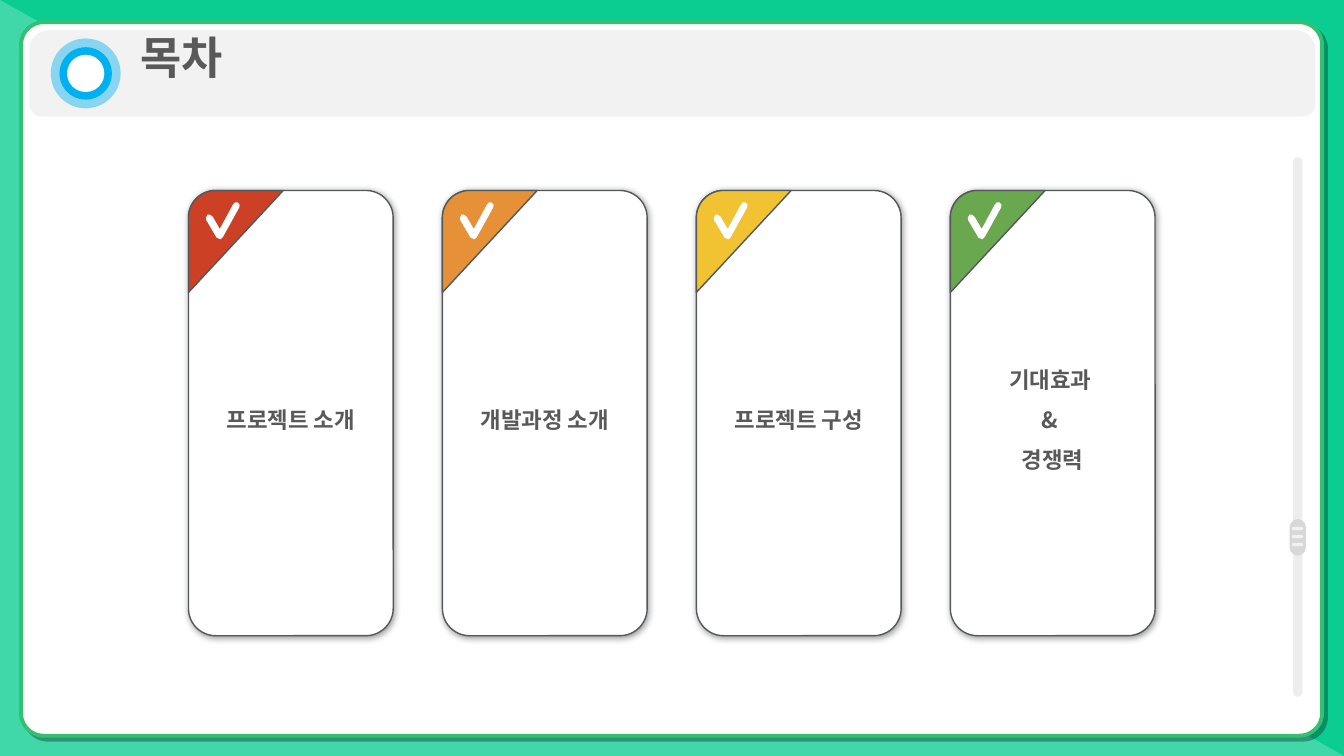
import math

import pptx
import pptx.dml.color
import pptx.enum.shapes
import pptx.enum.text
import pptx.oxml
import pptx.oxml.ns
import pptx.util
from pptx.util import Cm

SHAPES = pptx.enum.shapes.MSO_SHAPE
ALIGN = pptx.enum.text.PP_ALIGN
ANCHOR = pptx.enum.text.MSO_ANCHOR
FONT = "Noto Sans CJK KR"
COLORS = {
    "background": "0BCD91", "white": "FFFFFF", "black": "000000",
    "frame": "33C072", "panel": "F2F2F2", "thumb": "D8D8D8",
    "ring": "00B0F0", "outline": "53585B", "text": "595959",
    "red": "CC4125", "orange": "E69138", "yellow": "F1C232", "green": "6AA84F",
}
CARDS = [
    ("red", ["프로젝트 소개"]),
    ("orange", ["개발과정 소개"]),
    ("yellow", ["프로젝트 구성"]),
    ("green", ["기대효과 ", "& ", "경쟁력"]),
]
# Tick outline in cm from the top left of a card
TICK = [(0.44, 0.69), (0.48, 0.61), (0.54, 0.61), (0.61, 0.66), (0.79, 0.97),
        (1.12, 0.36), (1.17, 0.3), (1.24, 0.3), (1.29, 0.36), (1.28, 0.43),
        (0.87, 1.17), (0.81, 1.23), (0.71, 1.19), (0.45, 0.75)]


def rgb(name):
    return pptx.dml.color.RGBColor.from_string(COLORS[name])


def set_alpha(fill, percent):
    color = fill._xPr.find(".//" + pptx.oxml.ns.qn("a:srgbClr"))
    alpha = color.makeelement(pptx.oxml.ns.qn("a:alpha"), {"val": str(percent * 1000)})
    color.append(alpha)


def paint(shape, fill, line=None, width=1, alpha=None):
    shape.shadow.inherit = False
    shape.fill.solid()
    shape.fill.fore_color.rgb = rgb(fill)
    if alpha:
        set_alpha(shape.fill, alpha)
    if line:
        shape.line.color.rgb = rgb(line)
        shape.line.width = pptx.util.Pt(width)
    else:
        shape.line.fill.background()
    return shape


def add_box(slide, kind, box, fill, adjustments=(), **style):
    shape = slide.shapes.add_shape(kind, *map(Cm, box))
    for index, value in enumerate(adjustments):
        shape.adjustments[index] = value
    return paint(shape, fill, **style)


def add_outline(slide, left, top, points, fill, **style):
    corners = [(Cm(left + x), Cm(top + y)) for x, y in points]
    builder = slide.shapes.build_freeform(*corners[0], scale=1.0)
    builder.add_line_segments(corners[1:], close=True)
    return paint(builder.convert_to_shape(), fill, **style)


def add_shadow(shape, alpha, blur, distance):
    effects = shape._element.spPr.find(pptx.oxml.ns.qn("a:effectLst"))
    effects.append(pptx.oxml.parse_xml(
        f'<a:outerShdw {pptx.oxml.ns.nsdecls("a")} blurRad="{pptx.util.Pt(blur)}" '
        f'dist="{pptx.util.Pt(distance)}" dir="2700000" algn="tl" rotWithShape="0">'
        f'<a:srgbClr val="{COLORS["black"]}"><a:alpha val="{alpha * 1000}"/></a:srgbClr>'
        '</a:outerShdw>'))


def style_paragraph(paragraph, size, alignment):
    paragraph.alignment = alignment
    font = paragraph.font
    font.name, font.size, font.bold = FONT, pptx.util.Pt(size), True
    font.color.rgb = rgb("text")
    latin = paragraph._p.find(".//" + pptx.oxml.ns.qn("a:latin"))
    latin.addnext(latin.makeelement(pptx.oxml.ns.qn("a:ea"), {"typeface": FONT}))


def draw_backdrop(slide, width, height):
    slide.background.fill.solid()
    slide.background.fill.fore_color.rgb = rgb("background")
    add_box(slide, SHAPES.RIGHT_TRIANGLE, (0, 0, width, height), "white", alpha=22)
    frame = add_box(slide, SHAPES.ROUNDED_RECTANGLE, (0.53, 0.56, 32.79, 17.98), "white",
                    [0.032], line="frame", width=2.75)
    add_shadow(frame, 30, 0, 4)


def draw_scrollbar(slide, left, top, width, height):
    pill = SHAPES.ROUNDED_RECTANGLE
    add_box(slide, pill, (left + 0.09, top, 0.23, height), "black", [0.5], alpha=7)
    thumb_top = top + 9.12
    add_box(slide, pill, (left, thumb_top, width, 0.92), "thumb", [0.5])
    for grip in range(3):
        add_box(slide, pill, (left + 0.06, thumb_top + 0.2 + 0.2 * grip, 0.28, 0.08),
                "panel", [0.5])


def draw_header(slide, left, top, width, height):
    add_box(slide, SHAPES.ROUND_2_SAME_RECTANGLE, (left, top, width, height),
            "panel", [0.226, 0.145])

    # Title
    title = slide.shapes.title
    slide.shapes._spTree.append(title._element)
    title.left, title.top = Cm(left + 2.79), Cm(top)
    title.width, title.height = Cm(width - 3.05), Cm(height)
    frame = title.text_frame
    frame.text = "목차"
    frame.auto_size = pptx.enum.text.MSO_AUTO_SIZE.NONE
    frame.vertical_anchor = ANCHOR.TOP
    frame.margin_left = frame.margin_right = frame.margin_top = frame.margin_bottom = 0
    style_paragraph(frame.paragraphs[0], 32, ALIGN.LEFT)

    # Ring
    ring = add_box(slide, SHAPES.OVAL, (left + 0.76, top + 0.43, 1.32, 1.32),
                   "ring", line="ring", width=12.5)
    set_alpha(ring.line.fill, 44)
    add_box(slide, SHAPES.OVAL, (left + 0.95, top + 0.62, 0.94, 0.94), "white")


def draw_card(slide, left, top, width, height, color, lines):
    ratio = 0.133
    card = add_box(slide, SHAPES.ROUNDED_RECTANGLE, (left, top, width, height),
                   "white", [ratio], line="outline")
    add_shadow(card, 40, 5, 1)
    frame = card.text_frame
    frame.word_wrap = True
    frame.vertical_anchor = ANCHOR.MIDDLE
    frame.text = "\n".join(lines)
    for paragraph in frame.paragraphs:
        paragraph.line_spacing = 1.5
        style_paragraph(paragraph, 16, ALIGN.CENTER)

    # Coloured corner with a rounded tip, and its tick
    radius = ratio * width
    angles = [math.radians(degrees) for degrees in range(0, 91, 6)]
    arc = [(radius * (1 - math.cos(a)), radius * (1 - math.sin(a))) for a in angles]
    add_outline(slide, left, top, arc + [(2.39, 0), (0, 2.57)], color, line="outline")
    add_outline(slide, left, top, TICK, "white")


def main():
    presentation = pptx.Presentation()
    width, height = 33.87, 19.05
    presentation.slide_width, presentation.slide_height = Cm(width), Cm(height)
    slide = presentation.slides.add_slide(presentation.slide_layouts.get_by_name("Title Only"))

    draw_backdrop(slide, width, height)
    draw_scrollbar(slide, 32.5, 3.96, 0.41, 13.6)
    draw_header(slide, 0.74, 0.76, 32.41, 2.18)
    for index, (color, lines) in enumerate(CARDS):
        draw_card(slide, 4.75 + 6.4 * index, 4.8, 5.16, 11.22, color, lines)

    presentation.save("out.pptx")


if __name__ == "__main__":
    main()
